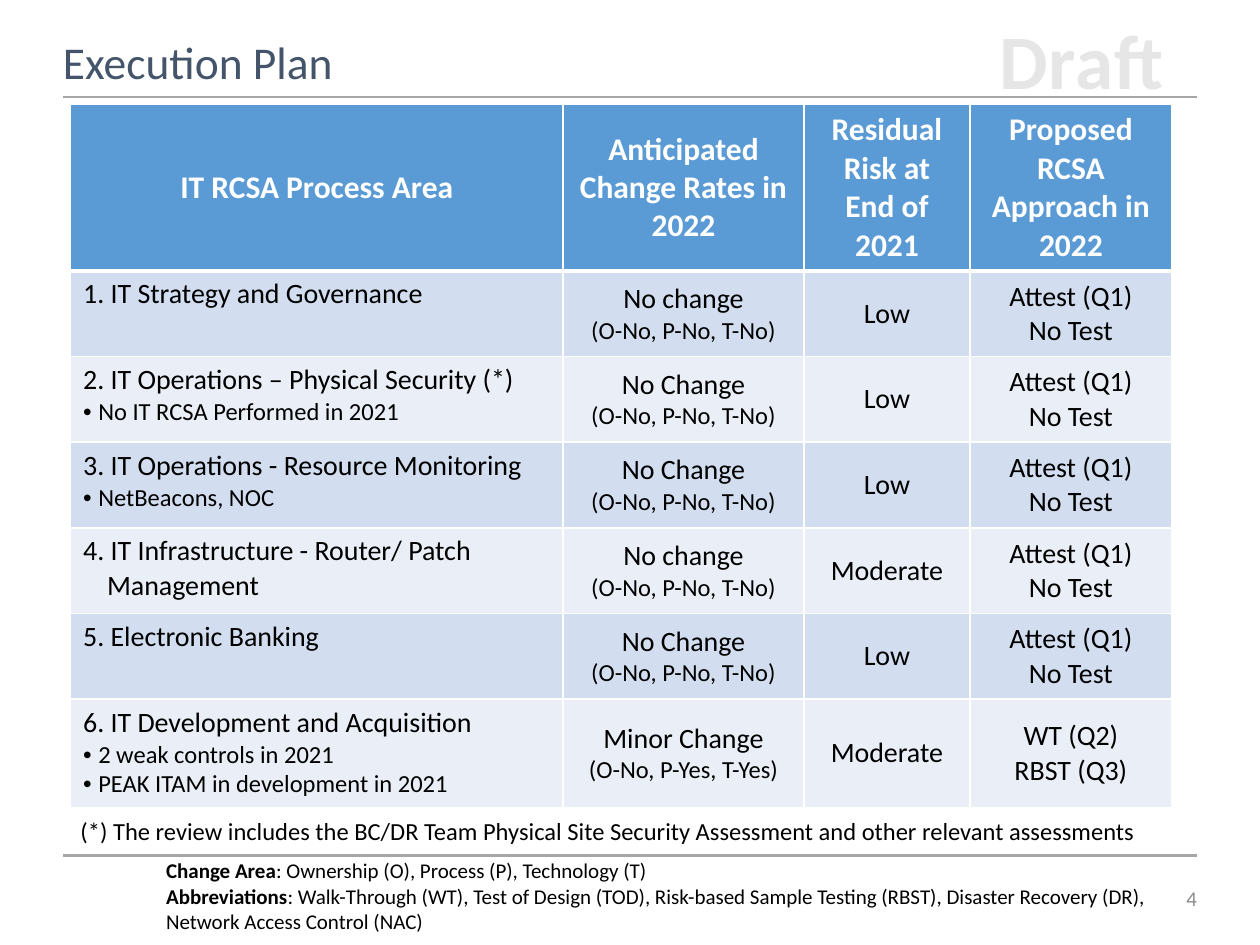
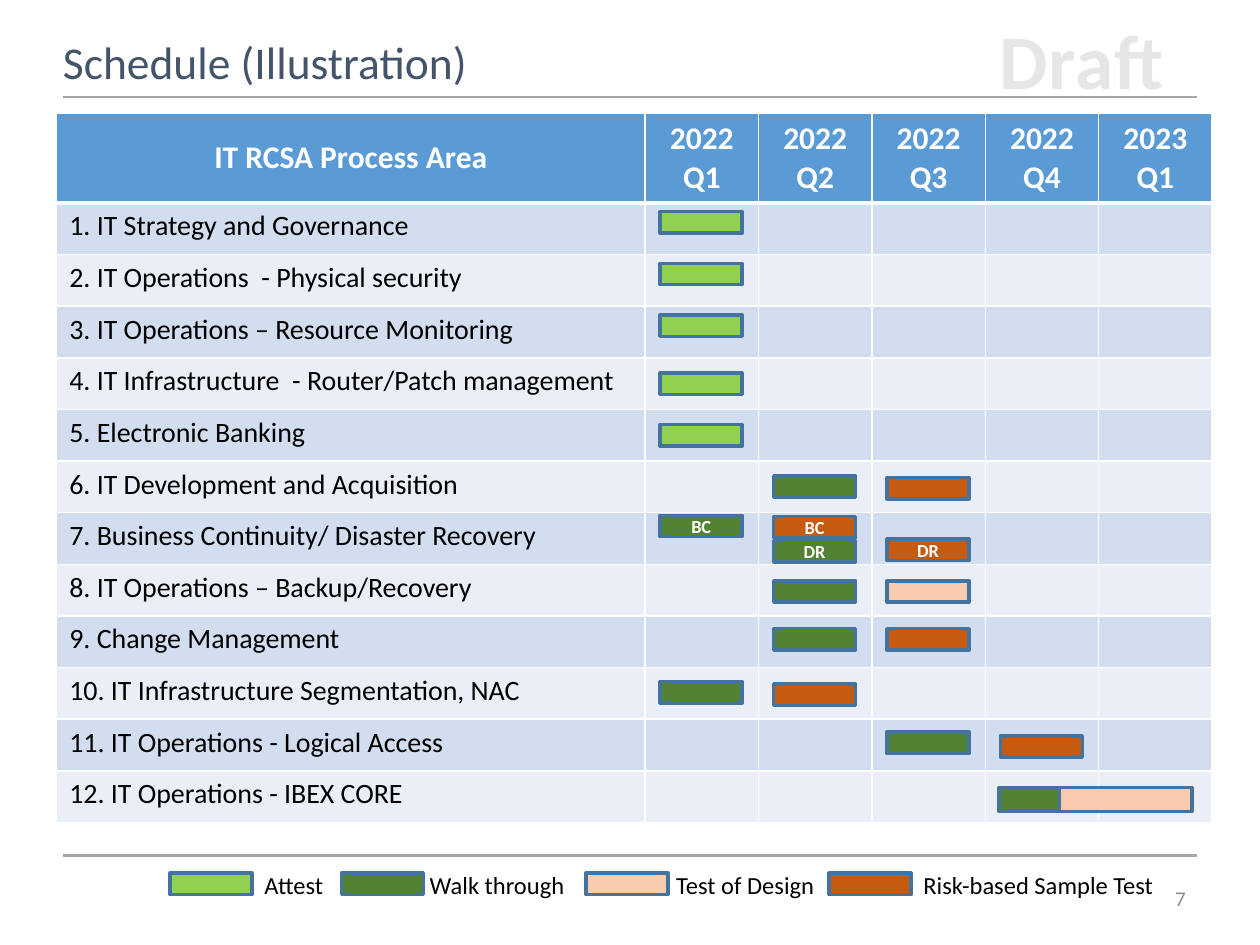
from lxml import etree
from pptx import Presentation
from pptx.dml.color import RGBColor
from pptx.enum.shapes import MSO_CONNECTOR as Connector, MSO_SHAPE as Shape
from pptx.enum.text import MSO_ANCHOR as Anchor, PP_ALIGN as Align
from pptx.oxml.ns import qn
from pptx.util import Inches, Pt

FONT = "Calibri"
COLORS = {
    "title": "44546A", "rule": "A6A6A6", "draft": "E7E6E6", "number": "8C8C8C",
    "header": "5B9BD5", "odd": "D2DEEF", "even": "EAEFF7",
    "text": "000000", "white": "FFFFFF", "outline": "43739E",
    "attest": "92D050", "walk": "548235", "design": "F8CBAD", "sample": "C55A11",
}

PLAN_HEADINGS = [
    "IT RCSA Process Area", "Anticipated Change Rates in 2022",
    "Residual Risk at End of 2021", "Proposed RCSA Approach in 2022",
]
STABLE = "\n(O-No, P-No, T-No)"
ATTEST = "Attest (Q1)\nNo Test"
PLAN = [
    ["1. IT Strategy and Governance", "No change" + STABLE, "Low", ATTEST],
    ["2. IT Operations – Physical Security (*)\nNo IT RCSA Performed in 2021",
     "No Change" + STABLE, "Low", ATTEST],
    ["3. IT Operations - Resource Monitoring\nNetBeacons, NOC",
     "No Change" + STABLE, "Low", ATTEST],
    ["4. IT Infrastructure - Router/ Patch Management",
     "No change" + STABLE, "Moderate", ATTEST],
    ["5. Electronic Banking", "No Change" + STABLE, "Low", ATTEST],
    ["6. IT Development and Acquisition\n2 weak controls in 2021\nPEAK ITAM in development in 2021",
     "Minor Change\n(O-No, P-Yes, T-Yes)", "Moderate", "WT (Q2)\nRBST (Q3)"],
]
PLAN_NOTE = ("(*) The review includes the BC/DR Team Physical Site Security Assessment "
             "and other relevant assessments")
PLAN_KEY = ("|Change Area|: Ownership (O), Process (P), Technology (T)\n"
            "|Abbreviations|: Walk-Through (WT), Test of Design (TOD), Risk-based Sample "
            "Testing (RBST), Disaster Recovery (DR), Network Access Control (NAC)")

QUARTERS = ["2022 Q1", "2022 Q2", "2022 Q3", "2022 Q4", "2023 Q1"]
# area, then steps of (quarter, drop within the row, method, label)
SCHEDULE = [
    ("1. IT Strategy and Governance", [(0, 0.07, "attest", "")]),
    ("2. IT Operations  - Physical security", [(0, 0.07, "attest", "")]),
    ("3. IT Operations – Resource Monitoring", [(0, 0.07, "attest", "")]),
    ("4. IT Infrastructure  - Router/Patch management", [(0, 0.12, "attest", "")]),
    ("5. Electronic Banking", [(0, 0.12, "attest", "")]),
    ("6. IT Development and Acquisition",
     [(1, 0.12, "walk", ""), (2, 0.13, "sample", "")]),
    ("7. Business Continuity/ Disaster Recovery",
     [(0, 0.02, "walk", "BC"), (1, 0.03, "sample", "BC"),
      (1, 0.22, "walk", "DR"), (2, 0.21, "sample", "DR")]),
    ("8. IT Operations – Backup/Recovery",
     [(1, 0.13, "walk", ""), (2, 0.13, "design", "")]),
    ("9. Change Management", [(1, 0.1, "walk", ""), (2, 0.1, "sample", "")]),
    ("10. IT Infrastructure Segmentation, NAC",
     [(0, 0.11, "walk", ""), (1, 0.13, "sample", "")]),
    ("11. IT Operations - Logical Access",
     [(2, 0.1, "walk", ""), (3, 0.13, "sample", "")]),
    ("12. IT Operations - IBEX CORE", []),
]
LONG_STEPS = [("walk", 7.93, 0.48), ("design", 8.41, 1.05)]
LEGEND = [
    ("attest", 1.35, "Attest", 2, 0.68, Align.LEFT),
    ("walk", 2.71, "Walk through", 3.29, 1.31, Align.CENTER),
    ("design", 4.65, "Test of Design", 5.18, 1.47, Align.CENTER),
    ("sample", 6.58, "Risk-based Sample Test", 7.23, 2.08, Align.LEFT),
]
BAR_WIDTH, BAR_HEIGHT = 0.65, 0.17


def rgb(name):
    return RGBColor.from_string(COLORS[name])


def write(frame, text, size=16, rest=None, color="text", bold=False,
          align=Align.LEFT, hang=0, bullet=False, spacing=0):
    for index, line in enumerate(text.split("\n")):
        paragraph = frame.add_paragraph() if index else frame.paragraphs[0]
        paragraph.alignment = align
        bulleted = bullet and index > 0
        indent = 0.12 if bulleted else hang
        if indent:
            props = paragraph._p.get_or_add_pPr()
            props.set("marL", str(Inches(indent)))
            props.set("indent", str(-Inches(indent)))
            if bulleted:
                etree.SubElement(props, qn("a:buFont")).set("typeface", "Arial")
                etree.SubElement(props, qn("a:buChar")).set("char", "•")
        for part, words in enumerate(line.split("|")):
            if not words:
                continue
            run = paragraph.add_run()
            run.text = words
            run.font.name = FONT
            run.font.size = Pt(rest if rest and index else size)
            run.font.bold = bold or part % 2 == 1
            run.font.color.rgb = rgb(color)
            if spacing:
                run._r.get_or_add_rPr().set("spc", str(spacing))


def add_text(shapes, text, left, top, width, height, anchor=Anchor.TOP,
             wrap=True, inset_left=0.1, inset_right=0.1, **style):
    box = shapes.add_textbox(Inches(left), Inches(top), Inches(width), Inches(height))
    frame = box.text_frame
    frame.word_wrap = wrap
    frame.vertical_anchor = anchor
    frame.margin_left, frame.margin_right = Inches(inset_left), Inches(inset_right)
    write(frame, text, **style)


def add_rule(slide, y):
    rule = slide.shapes.add_connector(Connector.STRAIGHT, Inches(0.5), Inches(y),
                                      Inches(9.5), Inches(y))
    rule.line.color.rgb = rgb("rule")
    rule.line.width = Pt(1.25)
    etree.SubElement(rule._element.spPr, qn("a:effectLst"))


def add_bar(shapes, method, left, top, width=BAR_WIDTH, height=BAR_HEIGHT, label=""):
    bar = shapes.add_shape(Shape.RECTANGLE, Inches(left), Inches(top),
                           Inches(width), Inches(height))
    bar.shadow.inherit = False
    bar.fill.solid()
    bar.fill.fore_color.rgb = rgb(method)
    bar.line.color.rgb = rgb("outline")
    bar.line.width = Pt(2)
    if label:
        bar.text_frame.vertical_anchor = Anchor.MIDDLE
        write(bar.text_frame, label, size=10.5, color="white", bold=True, align=Align.CENTER)


def paint_cell(cell, row):
    props = cell._tc.get_or_add_tcPr()
    for side in "LRTB":
        thick = (row, side) in ((0, "B"), (1, "T"))
        edge = etree.SubElement(props, qn("a:ln" + side), w=str(Pt(3 if thick else 1)))
        fill = etree.SubElement(edge, qn("a:solidFill"))
        etree.SubElement(fill, qn("a:srgbClr")).set("val", COLORS["white"])
    cell.fill.solid()
    cell.fill.fore_color.rgb = rgb("header" if row == 0 else "odd" if row % 2 else "even")


def add_grid(slide, left, top, widths, heights, headings, rows, style_of):
    grid = slide.shapes.add_table(len(heights), len(widths), Inches(left), Inches(top),
                                  Inches(sum(widths)), Inches(sum(heights))).table
    for column, width in zip(grid.columns, widths):
        column.width = Inches(width)
    for line, height in zip(grid.rows, heights):
        line.height = Inches(height)
    for r, texts in enumerate([headings] + rows):
        for c, text in enumerate(texts):
            cell = grid.cell(r, c)
            paint_cell(cell, r)
            if r == 0 or c > 0:
                cell.vertical_anchor = Anchor.MIDDLE
            if r == 0:
                write(cell.text_frame, text, size=18, color="white", bold=True,
                      align=Align.CENTER)
            elif text:
                write(cell.text_frame, text, **style_of(r, c))


def add_page(title, number, number_left):
    slide = deck.slides.add_slide(deck.slide_layouts[6])
    add_rule(slide, 0.77)
    add_rule(slide, 6.79)
    add_text(slide.shapes, "Draft", 7.28, 0.05, 2.63, 0.84, size=44, color="draft",
             bold=True, align=Align.CENTER, spacing=50)
    add_text(slide.shapes, number, number_left, 6.96, 0.42, 0.33, anchor=Anchor.MIDDLE,
             inset_right=0, size=12, color="number", align=Align.RIGHT)
    add_text(slide.shapes, title, 0.5, 0.25, 9, 0.5, anchor=Anchor.BOTTOM,
             inset_left=0, size=26, color="title")
    return slide


def plan_style(row, column):
    if column == 0:
        return {"rest": 14, "bullet": True, "hang": 0.19 if row in (4, 5) else 0}
    return {"rest": 14 if column == 1 else 16, "align": Align.CENTER}


def build_plan():
    slide = add_page("Execution Plan", "4", 9.08)
    add_grid(slide, 0.56, 0.83, [3.91, 1.91, 1.32, 1.6], [1.32] + [0.68] * 5 + [0.86],
             PLAN_HEADINGS, PLAN, plan_style)
    add_text(slide.shapes, PLAN_KEY, 1.22, 6.76, 8.07, 0.71, size=12)
    add_text(slide.shapes, PLAN_NOTE, 0.54, 6.43, 8.65, 0.34, wrap=False, size=14)


def build_schedule():
    slide = add_page("Schedule (Illustration)", "7", 8.99)
    left, top, area_width, quarter_width = 0.45, 0.9, 4.67, 0.9
    header_height, row_height = 0.71, 0.41
    rows = [[area] + [""] * len(QUARTERS) for area, steps in SCHEDULE]
    add_grid(slide, left, top, [area_width] + [quarter_width] * len(QUARTERS),
             [header_height] + [row_height] * len(rows),
             [PLAN_HEADINGS[0]] + QUARTERS, rows, lambda row, column: {})

    legend = slide.shapes.add_group_shape().shapes
    for method, bar_left, name, name_left, name_width, align in LEGEND:
        add_bar(legend, method, bar_left, 6.93)
        add_text(legend, name, name_left, 6.86, name_width, 0.34,
                 wrap=method != "attest", size=14, align=align)

    bars = slide.shapes.add_group_shape().shapes
    first_bar, first_row = left + area_width + 0.12, top + header_height
    for index, (area, steps) in enumerate(SCHEDULE):
        for quarter, drop, method, label in steps:
            add_bar(bars, method, first_bar + quarter * quarter_width,
                    first_row + index * row_height + drop, label=label)
    for method, bar_left, width in LONG_STEPS:
        add_bar(bars, method, bar_left, 6.25, width, 0.19)


deck = Presentation()
deck.slide_width, deck.slide_height = Inches(10), Inches(7.5)
build_plan()
build_schedule()
deck.save("out.pptx")
